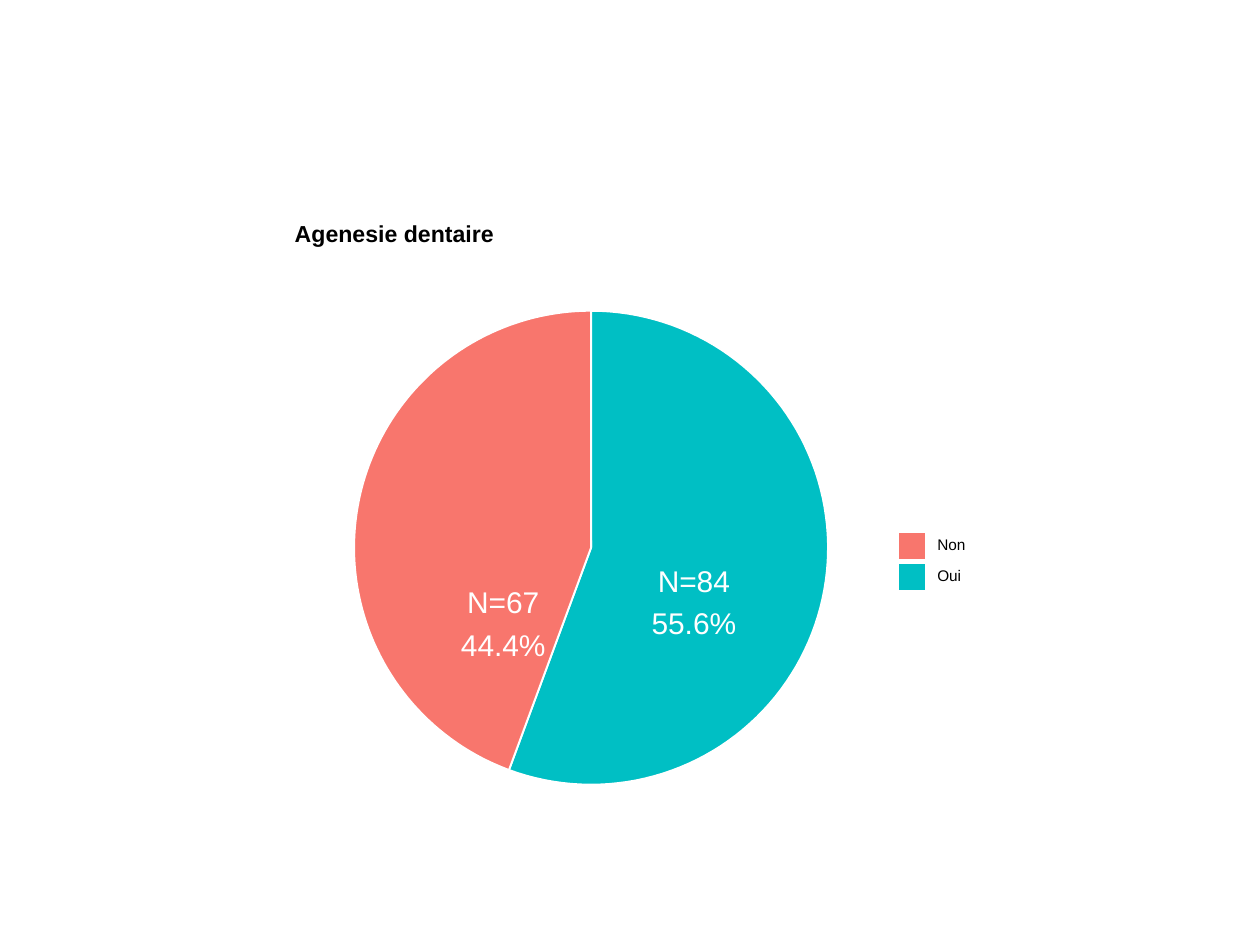
from math import cos, pi, sin

from pptx import Presentation
from pptx.dml.color import RGBColor
from pptx.enum.shapes import MSO_SHAPE
from pptx.enum.text import MSO_ANCHOR, PP_ALIGN
from pptx.util import Pt

RECT = MSO_SHAPE.RECTANGLE
MIDDLE = MSO_ANCHOR.MIDDLE
LEFT, CENTER = PP_ALIGN.LEFT, PP_ALIGN.CENTER
FONT = "Arial"
WHITE, BLACK = "FFFFFF", "000000"
CORAL, TEAL = "F8766D", "00BFC4"
OUTLINE = 1.07
ARC_STEPS = 90

# name, count, colour, label centre relative to the pie centre
SLICES = [
    ("Oui", 84, TEAL, (58.7, 20.2)),
    ("Non", 67, CORAL, (-50.2, 32.5)),
]


def rgb(value):
    return RGBColor.from_string(value)


def paint(s, fill, line_width):
    s.shadow.inherit = False
    s.fill.solid()
    s.fill.fore_color.rgb = rgb(fill)
    s.line.color.rgb = rgb(WHITE)
    s.line.width = Pt(line_width)


def add_rect(slide, x, y, w, h, fill, line_width):
    s = slide.shapes.add_shape(RECT, Pt(x), Pt(y), Pt(w), Pt(h))
    paint(s, fill, line_width)


def add_line_of_text(slide, text, x, y, w, h, size, color, bold=False, align=LEFT):
    tf = slide.shapes.add_textbox(Pt(x), Pt(y), Pt(w), Pt(h)).text_frame
    tf.margin_left = tf.margin_right = tf.margin_top = tf.margin_bottom = 0
    tf.word_wrap = False
    tf.vertical_anchor = MIDDLE
    p = tf.paragraphs[0]
    p.text = text
    p.alignment = align
    p.line_spacing = Pt(size)
    p.font.name = FONT
    p.font.size = Pt(size)
    p.font.bold = bold
    p.font.color.rgb = rgb(color)


def add_slice(slide, cx, cy, radius, start, end, color):
    """Draw one sector; angles run clockwise from twelve o'clock."""
    angles = [start + (end - start) * i / ARC_STEPS for i in range(ARC_STEPS + 1)]
    arc = [(Pt(cx + radius * sin(a)), Pt(cy - radius * cos(a))) for a in angles]
    builder = slide.shapes.build_freeform(Pt(cx), Pt(cy))
    builder.add_line_segments(arc, close=True)
    paint(builder.convert_to_shape(), color, OUTLINE)


def add_pie(slide, x, y, size):
    radius = size / 2
    cx, cy = x + radius, y + radius
    total = sum(count for _, count, _, _ in SLICES)
    start = 0
    for _, count, color, _ in SLICES:
        end = start + 2 * pi * count / total
        add_slice(slide, cx, cy, radius, start, end, color)
        start = end
    for _, count, _, (dx, dy) in SLICES:
        lines = [(f"N={count}", 43), (f"{count / total:.1%}", 50)]
        for i, (text, w) in enumerate(lines):
            add_line_of_text(slide, text, cx + dx - w / 2, cy + dy + 24.5 * i - 6.2,
                             w, 12.4, 17.1, WHITE, align=CENTER)


def add_legend(slide, x, y, key, pitch):
    for i, (name, _, color, _) in enumerate(reversed(SLICES)):
        top = y + i * pitch
        add_rect(slide, x, top, key, key, color, OUTLINE)
        add_line_of_text(slide, name, x + 22.2, top + 4.4, 18, 6.5, 8.8, BLACK)


def main():
    prs = Presentation()
    prs.slide_width, prs.slide_height = Pt(720), Pt(540)
    slide = prs.slides.add_slide(prs.slide_layouts[6])
    add_rect(slide, 36, 126, 648, 356.4, WHITE, 0.75)
    add_pie(slide, 202.4, 177.6, 270.8)
    add_legend(slide, 513.4, 304.2, 15.8, 17.6)
    add_line_of_text(slide, "Agenesie dentaire", 168.4, 128.4, 115, 12.2,
                     13.2, BLACK, bold=True)
    prs.save("out.pptx")


if __name__ == "__main__":
    main()
